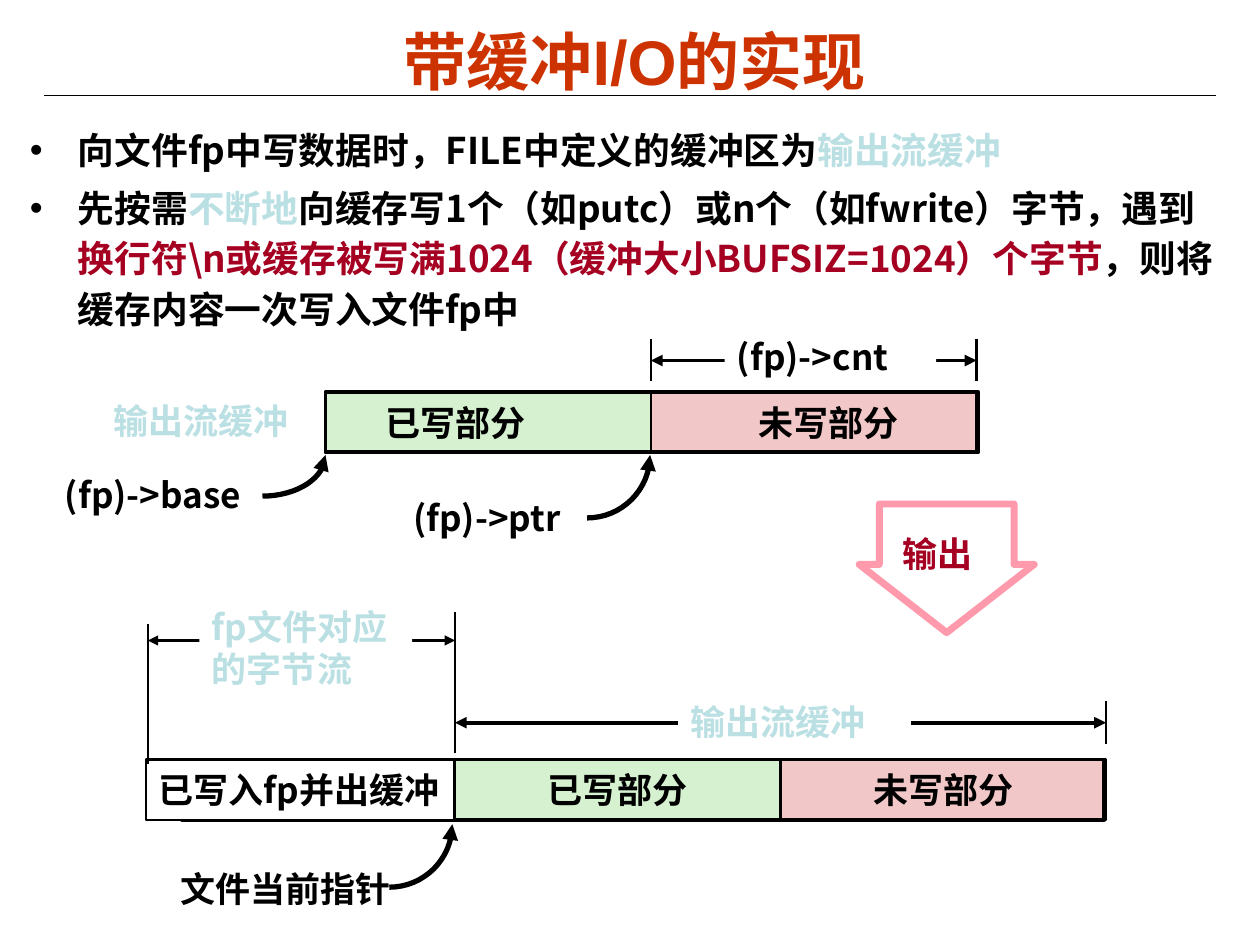
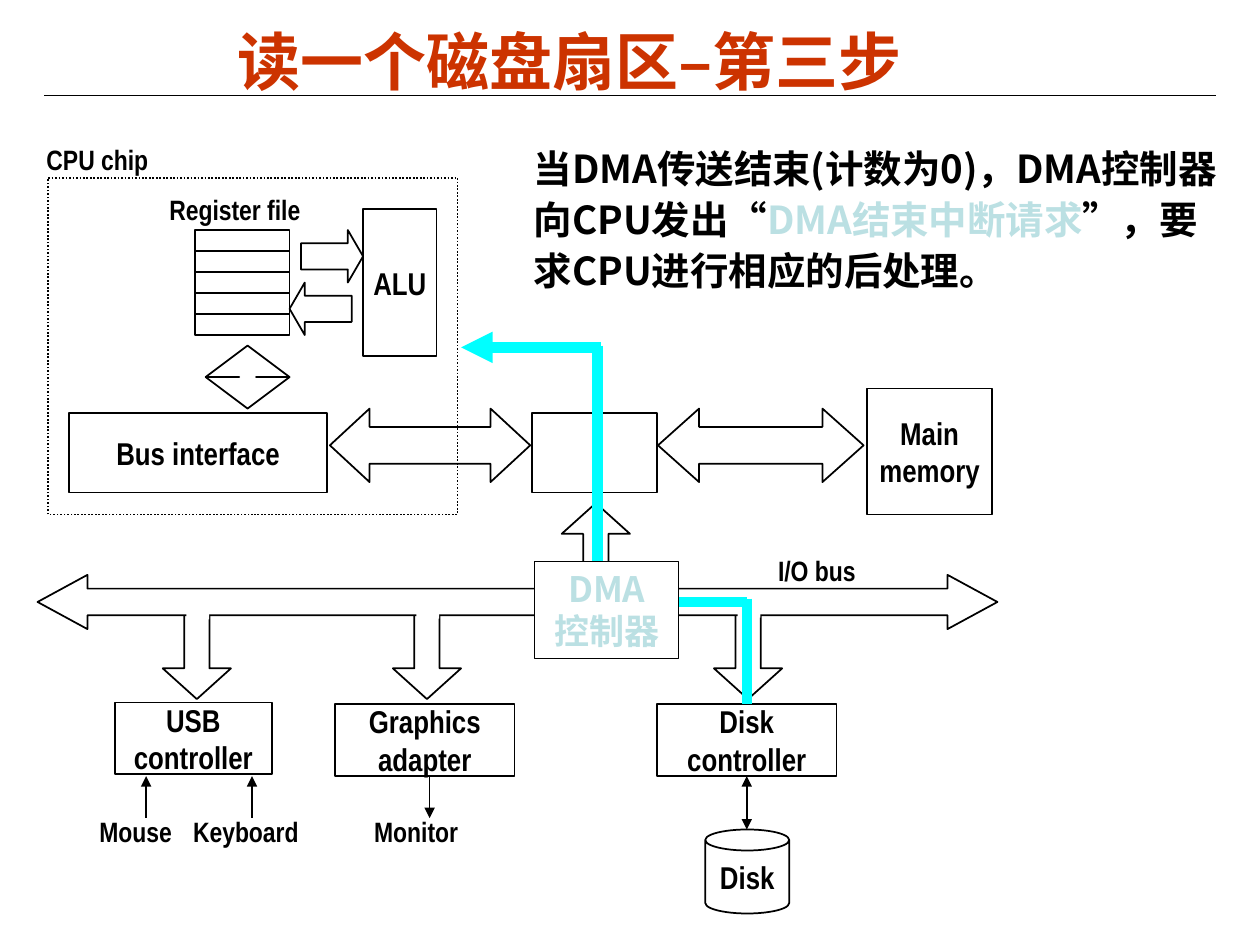
import math
from dataclasses import dataclass
from typing import NamedTuple, Optional

from lxml import etree
from pptx import Presentation, dml, util as u
from pptx.dml import color as dc
from pptx.enum import dml as ed, shapes, text
from pptx.oxml import ns

Pt = u.Pt
SHAPE = shapes.MSO_SHAPE
ALIGN = text.PP_ALIGN
ANCHOR = text.MSO_ANCHOR


@dataclass(frozen=True)
class Theme:
    black: str = "000000"
    white: str = "FFFFFF"
    title: str = "CC3300"
    accent: str = "BBE0E3"
    strong: str = "A50021"
    written: str = "D5F1CF"
    unwritten: str = "F1C7C7"
    output: str = "FE9AAB"
    signal: str = "00FFFF"
    cjk: str = "Noto Sans CJK SC"
    latin: str = "Arial"
    narrow: str = "Arial Narrow"
    title_size: int = 36
    note_size: int = 22
    body_size: int = 21
    label_size: int = 20
    part_size: int = 18
    small_size: int = 16


T = Theme()


class Run(NamedTuple):
    text: str
    color: str = T.black


class Box(NamedTuple):
    x: float
    y: float
    w: float
    h: float


class Tick(NamedTuple):
    x: float
    top: float
    bottom: float


@dataclass(frozen=True)
class Dimension:
    """A measured span: end ticks, a double arrow and a label over it."""
    ticks: tuple[Tick, Tick]
    y: float
    label: str
    box: Box
    color: str = T.accent
    weight: float = 2.25


class Part(NamedTuple):
    label: str
    box: Box
    kind: int = SHAPE.RECTANGLE


# Drawing helpers

def rgb(value: str) -> dc.RGBColor:
    return dc.RGBColor.from_string(value)


def write(sp, *paras, size: float = T.label_size, color: str = T.black, font: str = T.cjk,
          align=ALIGN.LEFT, anchor=ANCHOR.TOP, wrap: bool = True, left: float = 7.2,
          spacing: Optional[float] = None, before: float = 0, bullet: bool = False):
    """Fill a shape with paragraphs, each a string or a tuple of runs."""
    tf = sp.text_frame
    tf.word_wrap, tf.vertical_anchor, tf.margin_left = wrap, anchor, Pt(left)
    for i, para in enumerate(paras):
        p = tf.add_paragraph() if i else tf.paragraphs[0]
        p.alignment, p.space_before = align, Pt(before)
        if spacing:
            p.line_spacing = spacing
        if bullet:
            pPr = p._p.get_or_add_pPr()
            pPr.set("marL", str(Pt(27.4)))
            pPr.set("indent", str(-Pt(27.4)))
            etree.SubElement(pPr, ns.qn("a:buFont"), typeface=T.latin)
            etree.SubElement(pPr, ns.qn("a:buChar"), char="•")
        for run in ((Run(para, color),) if isinstance(para, str) else para):
            r = p.add_run()
            r.text = run.text
            r.font.size, r.font.bold, r.font.name = Pt(size), True, font
            r.font.color.rgb = rgb(run.color)
            etree.SubElement(r._r.get_or_add_rPr(), ns.qn("a:ea"), typeface=T.cjk)
    return sp


def label(s, box: Box, *paras, **fmt):
    return write(s.shapes.add_textbox(*map(Pt, box)), *paras, **fmt)


def style(sp, fill: Optional[str], line: Optional[str], weight: float) -> None:
    sp.shadow.inherit = False
    if fill:
        sp.fill.solid()
        sp.fill.fore_color.rgb = rgb(fill)
    else:
        sp.fill.background()
    if line:
        sp.line.color.rgb, sp.line.width = rgb(line), Pt(weight)
    else:
        sp.line.fill.background()


def shape(s, box: Box, kind=SHAPE.RECTANGLE, fill: Optional[str] = None,
          line: Optional[str] = T.black, weight: float = 1, adj: tuple = ()):
    sp = s.shapes.add_shape(kind, *map(Pt, box))
    for i, value in enumerate(adj):
        sp.adjustments[i] = value
    style(sp, fill, line, weight)
    return sp


def arrowheads(sp, head: bool, tail: bool) -> None:
    ln = sp.line._get_or_add_ln()
    for tag, wanted in (("a:headEnd", head), ("a:tailEnd", tail)):
        if wanted:
            etree.SubElement(ln, ns.qn(tag), type="triangle")


def line(s, x1: float, y1: float, x2: float, y2: float, color: str = T.black,
         weight: float = 1, head: bool = False, tail: bool = False):
    c = s.shapes.add_connector(shapes.MSO_CONNECTOR.STRAIGHT, *map(Pt, (x1, y1, x2, y2)))
    c.line.color.rgb, c.line.width = rgb(color), Pt(weight)
    arrowheads(c, head, tail)
    etree.SubElement(c._element.spPr, ns.qn("a:effectLst"))
    return c


def curved_pointer(s, tip_x: float, tip_y: float, dx: float, dy: float) -> None:
    """Quarter ellipse whose arrowhead points up at the tip."""
    steps = 16
    angles = [math.pi / 2 * i / steps for i in range(steps + 1)]
    pts = [(Pt(tip_x - dx + dx * math.cos(a)), Pt(tip_y + dy * math.sin(a))) for a in angles]
    fb = s.shapes.build_freeform(*pts[0])
    fb.add_line_segments(pts[1:], close=False)
    sp = fb.convert_to_shape()
    style(sp, None, T.black, 3)
    arrowheads(sp, True, False)


def dimension(s, d: Dimension) -> None:
    for t in d.ticks:
        line(s, t.x, t.bottom, t.x, t.top, weight=1.5)
    line(s, d.ticks[0].x, d.y, d.ticks[1].x, d.y, weight=d.weight, head=True, tail=True)
    write(shape(s, d.box, fill=T.white, line=None), d.label, color=d.color)


def titled_slide(prs, title: str, x: float, font: str):
    s = prs.slides.add_slide(prs.slide_layouts[6])
    line(s, 25.2, 54.7, 694.8, 54.7, weight=0.75)
    label(s, Box(x, 12, 597.5, 44.5), title, size=T.title_size, color=T.title,
          font=font, align=ALIGN.CENTER, anchor=ANCHOR.MIDDLE)
    return s


# Slide 1: buffered output

def buffered_io(prs) -> None:
    s = titled_slide(prs, "带缓冲I/O的实现", 64, T.latin)
    label(s, Box(10, 65.5, 700.5, 117.5),
          (Run("向文件fp中写数据时，FILE中定义的缓冲区为"), Run("输出流缓冲", T.accent)),
          (Run("先按需"), Run("不断地", T.accent),
           Run("向缓存写1个（如putc）或n个（如fwrite）字节，遇到"),
           Run("换行符\\n或缓存被写满1024（缓冲大小BUFSIZ=1024）个字节", T.strong),
           Run("，则将缓存内容一次写入文件fp中")),
          size=T.body_size, spacing=1.15, before=4.2, bullet=True)

    # Buffer cells, in memory and after the file's bytes
    cell_w, cell_h, buffer_x, buffer_y, file_x, file_y = 186, 34.5, 186, 224, 260, 434
    centred = dict(align=ALIGN.CENTER, left=7.2)
    for x, y, formats in ((buffer_x, buffer_y, (dict(left=34.5), dict(left=61.5))),
                          (file_x, file_y, (centred, centred))):
        cells = (("已写部分", T.written), ("未写部分", T.unwritten))
        for i, ((name, fill), fmt) in enumerate(zip(cells, formats)):
            sp = shape(s, Box(x + i * cell_w, y, cell_w, cell_h), fill=fill, weight=1.5)
            write(sp, name, anchor=ANCHOR.MIDDLE, **fmt)
    shape(s, Box(buffer_x, buffer_y, 373, cell_h), weight=2.25)
    shape(s, Box(104, file_y, 527, cell_h), weight=2.25)
    write(shape(s, Box(83.5, file_y, 176, cell_h), fill=T.white, weight=1.5),
          "已写入fp并出缓冲", anchor=ANCHOR.MIDDLE, wrap=False)

    # Names and pointers
    label(s, Box(57.5, 224.5, 135, 31), "输出流缓冲", color=T.accent)
    label(s, Box(30, 267, 135.5, 31), "(fp)->base")
    label(s, Box(229, 280, 116, 31), "(fp)->ptr")
    label(s, Box(89.5, 492, 141, 31), "文件当前指针", align=ALIGN.RIGHT)
    for tip in ((186, 260, 36, 23.5), (371.5, 260, 36, 36), (258.5, 471, 36, 36)):
        curved_pointer(s, *tip)

    # Measured spans
    for d in (
        Dimension((Tick(372, 193.5, 217.5), Tick(558, 193.5, 217.5)), 206,
                  "(fp)->cnt", Box(414, 188, 121, 31), T.black),
        Dimension((Tick(260, 400.5, 425), Tick(632, 400.5, 425)), 413,
                  "输出流缓冲", Box(387.5, 396.5, 133, 31)),
        Dimension((Tick(84.5, 356.5, 436.5), Tick(260, 350, 430.5)), 366,
                  "fp文件对应的字节流", Box(114, 342.5, 121.5, 55.5), weight=1.5),
    ):
        dimension(s, d)

    # Output arrow
    shape(s, Box(491, 288, 100, 73.5), SHAPE.DOWN_ARROW, line=T.output, weight=4,
          adj=(0.77, 0.53))
    label(s, Box(508.5, 301, 54.5, 31), "输出", color=T.strong)


# Slide 2: DMA completion

def disk_read(prs) -> None:
    s = titled_slide(prs, "读一个磁盘扇区–第三步", 26.5, T.cjk)
    small = dict(size=T.small_size, font=T.narrow, anchor=ANCHOR.MIDDLE, wrap=False)
    middle = dict(font=T.narrow, align=ALIGN.CENTER, anchor=ANCHOR.MIDDLE, wrap=False)

    # CPU chip: frame, register rows and arrows
    chip = shape(s, Box(27.5, 101.5, 234, 192.5))
    chip.line.dash_style = ed.MSO_LINE.ROUND_DOT
    row_h = 12
    for i in range(5):
        shape(s, Box(111.5, 131.5 + i * row_h, 54, row_h))
    for box, kind, adj in (
        (Box(172, 131.5, 35.5, 30), SHAPE.RIGHT_ARROW, (0.5, 0.29)),
        (Box(165.5, 161.5, 35.5, 30), SHAPE.LEFT_ARROW, (0.5, 0.29)),
        (Box(117.5, 197.5, 48, 36), SHAPE.UP_DOWN_ARROW, (0.5, 0.2)),
        (Box(188.5, 233.5, 114.5, 42), SHAPE.LEFT_RIGHT_ARROW, (0.5, 0.54)),
        (Box(376, 233.5, 117.5, 42), SHAPE.LEFT_RIGHT_ARROW, (0.5, 0.56)),
        (Box(321, 287.5, 39, 54), SHAPE.UP_ARROW, (0.37, 0.45)),
    ):
        shape(s, box, kind, adj=adj)
    shape(s, Box(304, 236, 71.5, 45.5))

    # Named parts
    parts = {}
    for part in (
        Part("ALU", Box(207.5, 119.5, 42, 84)),
        Part("Bus interface", Box(39.5, 236, 147.5, 45.5)),
        Part("Main\nmemory", Box(495.5, 222, 71.5, 72)),
        Part("USB\ncontroller", Box(65.5, 401.5, 90, 41)),
        Part("Graphics\nadapter", Box(191.5, 402.5, 102.5, 41)),
        Part("Disk\ncontroller", Box(375.5, 402.5, 102.5, 41)),
        Part("Disk", Box(403, 474, 48, 48), SHAPE.CAN),
    ):
        sp = shape(s, part.box, part.kind)
        parts[part.label] = write(sp, *part.label.split("\n"), size=T.part_size, **middle)
    disk_controller = parts["Disk\ncontroller"]

    # I/O bus with a branch to each controller
    branches = ((93, 342), (224.5, 341.5), (408, 341))
    for x, _ in branches:
        shape(s, Box(x, 345.5, 39, 54), SHAPE.DOWN_ARROW, adj=(0.37, 0.45))
    shape(s, Box(21.5, 328.5, 548.5, 31), SHAPE.LEFT_RIGHT_ARROW, fill=T.white,
          adj=(0.49, 0.92))
    for x, y in branches:
        shape(s, Box(x + 13.5, y, 13, 12), fill=T.white, line=None)

    # Small labels
    for name, box, align in (
        ("Register file", Box(89.5, 106.5, 89.5, 26.5), ALIGN.CENTER),
        ("CPU chip", Box(19.5, 78, 72.5, 26.5), ALIGN.LEFT),
        ("I/O bus", Box(437.5, 312.5, 59, 26.5), ALIGN.LEFT),
        ("Mouse", Box(49.5, 461.5, 56, 26.5), ALIGN.CENTER),
        ("Keyboard", Box(103, 461.5, 75, 26.5), ALIGN.CENTER),
        ("Monitor", Box(206.5, 461.5, 62.5, 26.5), ALIGN.CENTER),
    ):
        label(s, box, name, align=align, **small)

    # Device links
    for x, is_input in ((83.5, True), (144, True), (245.5, False)):
        line(s, x, 443.5, x, 467.5, head=is_input, tail=not is_input)
    disk_x = 426.75
    link = line(s, disk_x, 443.5, disk_x, 474, head=True, tail=True)
    link.begin_connect(disk_controller, 2)

    # Interrupt path from the disk controller to the CPU
    for ends, tail in (((343.5, 198.5, 263.5, 198.5), True),
                       ((341.5, 197.5, 341.5, 342), False),
                       ((338.5, 344, 427, 344), False)):
        line(s, *ends, color=T.signal, weight=6, tail=tail)
    request = line(s, disk_x, 342, disk_x, 402.5, color=T.signal, weight=6)
    request.end_connect(disk_controller, 0)

    # DMA controller and explanation
    write(shape(s, Box(305.5, 321, 82.5, 55.5), fill=T.white, weight=0.5),
          "DMA", "控制器", color=T.accent, align=ALIGN.CENTER)
    label(s, Box(298, 77, 407, 94.5),
          (Run("当DMA传送结束(计数为0)，DMA控制器向CPU发出“"),
           Run("DMA结束中断请求", T.accent), Run("”，要求CPU进行相应的后处理。")),
          size=T.note_size, spacing=1.1)


def main() -> None:
    prs = Presentation()
    prs.slide_width, prs.slide_height = Pt(720), Pt(540)
    buffered_io(prs)
    disk_read(prs)
    prs.save("out.pptx")


if __name__ == "__main__":
    main()
